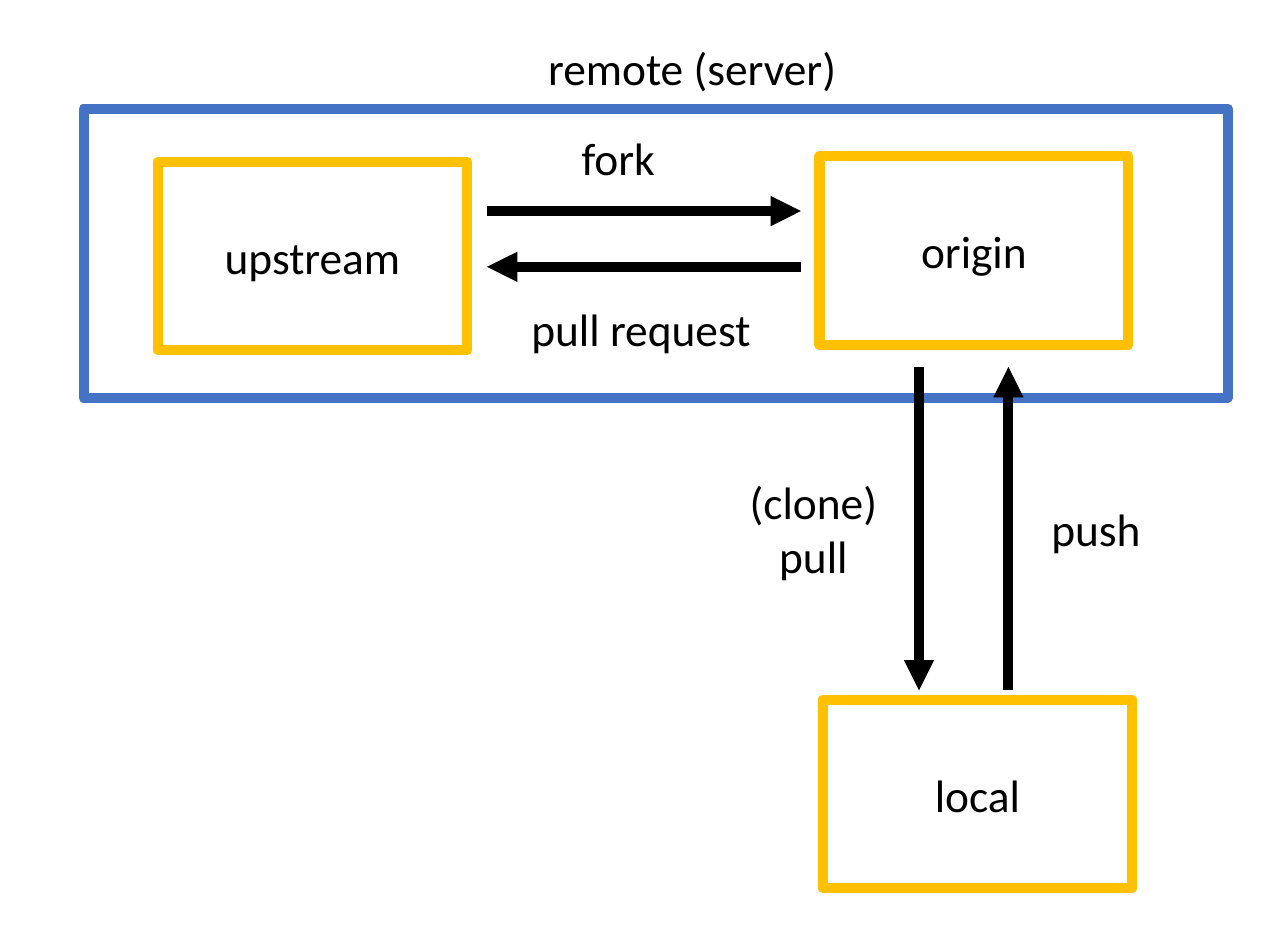
from lxml.etree import SubElement
from pptx import Presentation
from pptx.dml.color import RGBColor
from pptx.enum.shapes import MSO_CONNECTOR, MSO_SHAPE
from pptx.enum.text import MSO_ANCHOR, MSO_AUTO_SIZE, PP_ALIGN
from pptx.oxml.ns import qn
from pptx.util import Cm, Pt

BLUE, GOLD, BLACK, WHITE = "4472C4", "FFC000", "000000", "FFFFFF"


def color(value):
    return RGBColor.from_string(value)


class Diagram:
    font_name = "Calibri"
    font_size = Pt(18)
    line_width = Pt(4)

    def __init__(self, page):
        self.page = page

    def set_text(self, frame, text):
        frame.text = text
        for para in frame.paragraphs:
            para.alignment = PP_ALIGN.CENTER
            para.font.name = self.font_name
            para.font.size = self.font_size
            para.font.color.rgb = color(BLACK)

    def box(self, left, top, width, height, outline, text=""):
        box = self.page.shapes.add_shape(
            MSO_SHAPE.RECTANGLE, Cm(left), Cm(top), Cm(width), Cm(height))
        box.shadow.inherit = False
        box.fill.solid()
        box.fill.fore_color.rgb = color(WHITE)
        box.line.color.rgb = color(outline)
        box.line.width = self.line_width
        if text:
            box.text_frame.vertical_anchor = MSO_ANCHOR.MIDDLE
            self.set_text(box.text_frame, text)

    def repository(self, left, top, name):
        self.box(left, top, 4.32, 2.64, GOLD, name)

    def label(self, left, top, width, text, height=1.02):
        label = self.page.shapes.add_textbox(
            Cm(left), Cm(top), Cm(width), Cm(height))
        label.text_frame.word_wrap = True
        label.text_frame.auto_size = MSO_AUTO_SIZE.SHAPE_TO_FIT_TEXT
        self.set_text(label.text_frame, text)

    def arrow(self, start_x, start_y, end_x, end_y):
        arrow = self.page.shapes.add_connector(
            MSO_CONNECTOR.STRAIGHT,
            Cm(start_x), Cm(start_y), Cm(end_x), Cm(end_y))
        arrow.line.color.rgb = color(BLACK)
        arrow.line.width = self.line_width
        properties = arrow.element.spPr
        SubElement(properties.find(qn("a:ln")), qn("a:tailEnd"), type="triangle")
        SubElement(properties, qn("a:effectLst"))


deck = Presentation()
deck.slide_width, deck.slide_height = Cm(18.01), Cm(13)
diagram = Diagram(deck.slides.add_slide(deck.slide_layouts[6]))

# Remote side with its two repositories
diagram.box(1.17, 1.52, 16, 4.04, BLUE)
diagram.label(6.96, 0.43, 5.44, "remote (server)")
diagram.repository(2.21, 2.26, "upstream")
diagram.repository(11.46, 2.18, "origin")

# Local repository
diagram.repository(11.51, 9.78, "local")

# Exchange between upstream and origin
upstream_side, origin_side = 6.81, 11.2
diagram.arrow(upstream_side, 2.95, origin_side, 2.95)
diagram.arrow(origin_side, 3.73, upstream_side, 3.73)
diagram.label(7.59, 1.7, 2.11, "fork")
diagram.label(7.11, 4.09, 3.71, "pull request")

# Exchange between origin and local
origin_end, local_end = 5.13, 9.65
diagram.arrow(12.85, origin_end, 12.85, local_end)
diagram.arrow(14.1, local_end, 14.1, origin_end)
diagram.label(9.98, 6.5, 2.79, "(clone)\npull", height=1.8)
diagram.label(14.27, 6.88, 2.11, "push")

deck.save("out.pptx")
